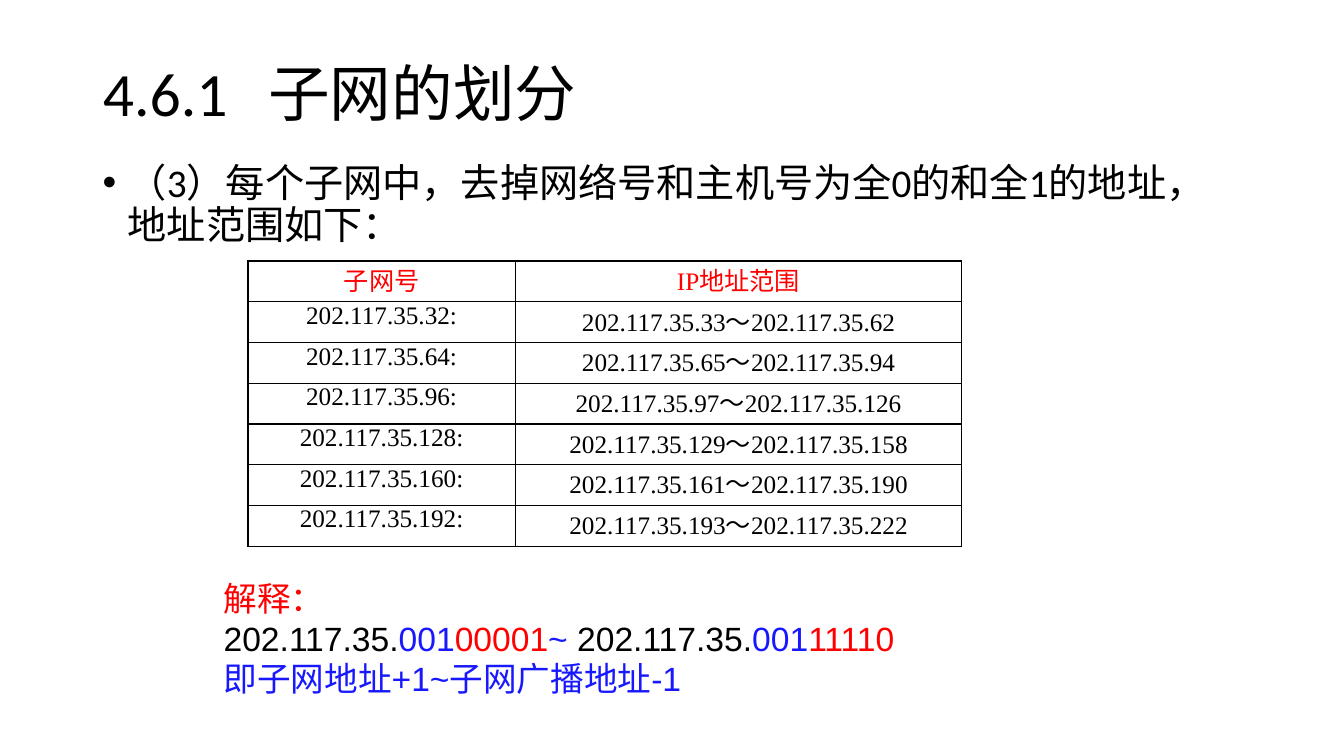
from lxml.etree import SubElement
from pptx import Presentation
from pptx.dml.color import RGBColor
from pptx.enum.text import MSO_ANCHOR, MSO_AUTO_SIZE, PP_ALIGN
from pptx.oxml.ns import qn
from pptx.util import Inches, Pt

BLACK = RGBColor(0x00, 0x00, 0x00)
WHITE = RGBColor(0xFF, 0xFF, 0xFF)
RED = RGBColor(0xFF, 0x00, 0x00)
BLUE = RGBColor(0x18, 0x18, 0xFF)

NETWORK = "202.117.35."
SUBNET_SIZE = 32
SUBNETS = range(32, 193, SUBNET_SIZE)


class SubnetSlide:
    heading_font = "Calibri"
    table_font = "Times New Roman"
    note_font = "Arial"

    def __init__(self, deck):
        self.page = deck.slides.add_slide(deck.slide_layouts[5])

    def style(self, span, name, size, color):
        font = span.font
        font.name, font.size, font.color.rgb = name, Pt(size), color

    def place(self, shape, left, top, width, height):
        shape.left, shape.top = Inches(left), Inches(top)
        shape.width, shape.height = Inches(width), Inches(height)

    def text_box(self, *place):
        box = self.page.shapes.add_textbox(*map(Inches, place))
        box.text_frame.word_wrap = True
        return box.text_frame

    def title(self, text, tab, *place):
        shape = self.page.shapes.title
        self.place(shape, *place)
        frame = shape.text_frame
        frame.text = text
        frame.auto_size = MSO_AUTO_SIZE.NONE
        frame.vertical_anchor = MSO_ANCHOR.MIDDLE
        para = frame.paragraphs[0]
        stops = SubElement(para._p.get_or_add_pPr(), qn("a:tabLst"))
        SubElement(stops, qn("a:tab"), pos=str(Inches(tab)), algn="l")
        para.alignment = PP_ALIGN.LEFT
        para.line_spacing = 0.9
        for span in para.runs:
            self.style(span, self.heading_font, 44, BLACK)

    def bullet(self, text, *place):
        para = self.text_box(*place).paragraphs[0]
        para.text = text
        props = para._p.get_or_add_pPr()
        props.set("marL", str(Inches(0.25)))
        props.set("indent", str(Inches(-0.25)))
        SubElement(props, qn("a:buFont"), typeface="Arial")
        SubElement(props, qn("a:buChar"), char="•")
        para.line_spacing = 0.9
        self.style(para.runs[0], self.heading_font, 28, BLACK)

    def border(self, cell):
        props = cell._tc.get_or_add_tcPr()
        for side in ("lnL", "lnR", "lnT", "lnB"):
            line = SubElement(props, qn(f"a:{side}"), w=str(Pt(1)))
            fill = SubElement(line, qn("a:solidFill"))
            SubElement(fill, qn("a:srgbClr"), val=str(BLACK))

    def table(self, rows, widths, *place):
        frame = self.page.shapes.add_table(len(rows), len(widths), *map(Inches, place))
        table = frame.table
        for column, width in zip(table.columns, widths):
            column.width = Inches(width)
        for r, row in enumerate(rows):
            for c, text in enumerate(row):
                cell = table.cell(r, c)
                cell.text = text
                cell.margin_left = cell.margin_right = Inches(0.07)
                cell.margin_top = cell.margin_bottom = 0
                self.border(cell)
                cell.fill.solid()
                cell.fill.fore_color.rgb = WHITE
                para = cell.text_frame.paragraphs[0]
                para.alignment = PP_ALIGN.CENTER
                self.style(para.runs[0], self.table_font, 18, BLACK if r else RED)
                para.runs[0].font.bold = False

    def note(self, lines, *place):
        """Each line is a list of (text, color) spans."""
        frame = self.text_box(*place)
        for i, line in enumerate(lines):
            para = frame.add_paragraph() if i else frame.paragraphs[0]
            for text, color in line:
                span = para.add_run()
                span.text = text
                self.style(span, self.note_font, 24, color)


def main():
    deck = Presentation()
    deck.slide_width, deck.slide_height = Inches(13.33), Inches(7.5)
    slide = SubnetSlide(deck)
    slide.title("4.6.1\t子网的划分", 1.64, 0.92, 0.23, 11.5, 1.45)
    slide.bullet("（3）每个子网中，去掉网络号和主机号为全0的和全1的地址，地址范围如下：",
                 0.92, 1.57, 11.5, 1)
    rows = [("子网号", "IP地址范围")]
    for start in SUBNETS:
        first, last = start + 1, start + SUBNET_SIZE - 2
        rows.append((f"{NETWORK}{start}:", f"{NETWORK}{first}～{NETWORK}{last}"))
    slide.table(rows, (2.65, 4.43), 2.46, 2.59, 7.08, 2.83)
    slide.note([
        [("解释：", RED)],
        [(NETWORK, BLACK), ("001", BLUE), ("00001", RED), ("~", BLUE),
         (" " + NETWORK, BLACK), ("001", BLUE), ("11110", RED)],
        [("即子网地址+1~子网广播地址-1", BLUE)],
    ], 2.12, 5.68, 8.33, 1.31)
    deck.save("out.pptx")


if __name__ == "__main__":
    main()
